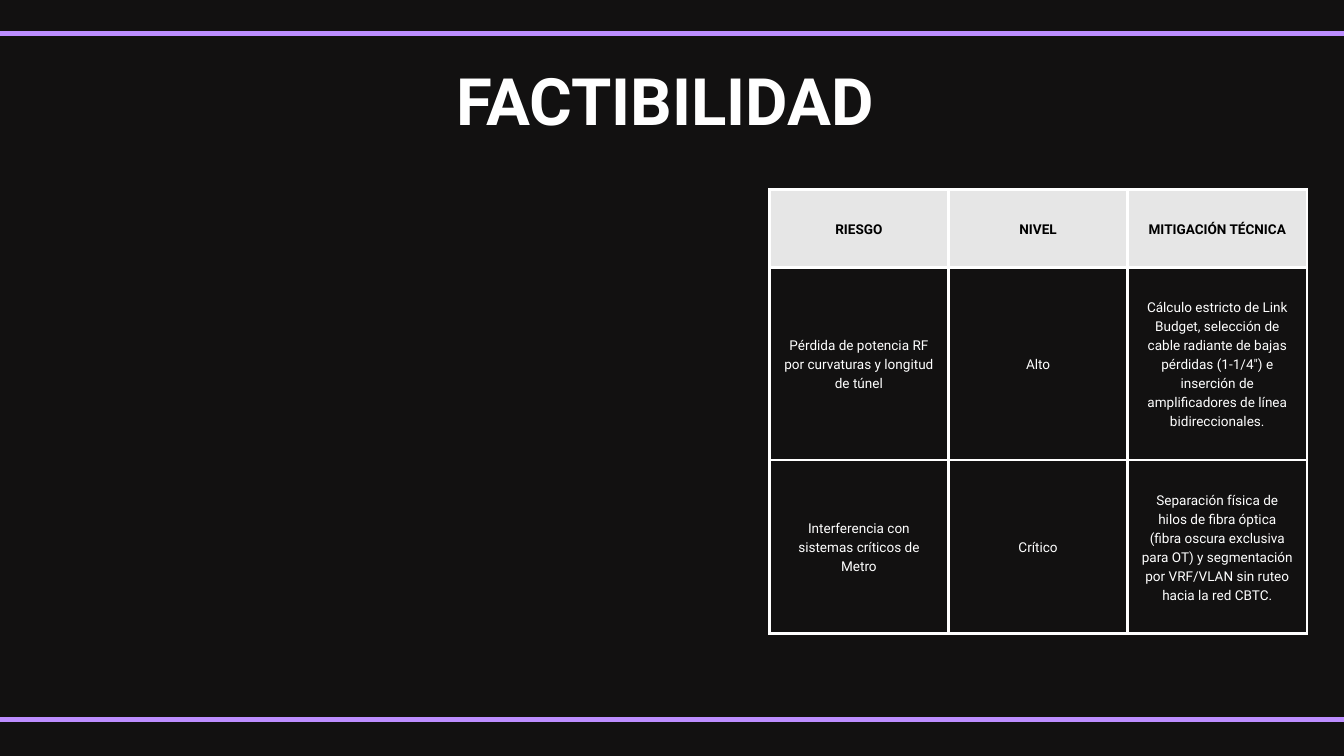
"""Build the feasibility slide with its risk table."""
from typing import NamedTuple

from lxml.etree import SubElement as Sub
from pptx import Presentation
from pptx.dml.color import RGBColor
from pptx.enum.shapes import MSO_CONNECTOR as Link
from pptx.enum.text import MSO_ANCHOR as Anchor, MSO_AUTO_SIZE as Fit, PP_ALIGN as Align
from pptx.oxml import parse_xml
from pptx.oxml.ns import nsdecls, qn
from pptx.util import Emu, Pt

DARK = RGBColor(0x12, 0x11, 0x11)
VIOLET = RGBColor(0xBC, 0x8D, 0xFF)
WHITE = RGBColor(0xFF, 0xFF, 0xFF)
BLACK = RGBColor(0, 0, 0)
GREY = RGBColor(0xE6, 0xE6, 0xE6)
FONT = "Roboto"
SCALE = 9525


class Box(NamedTuple):
    left: int
    top: int
    width: int
    height: int


class Rule(NamedTuple):
    start: int
    end: int
    top: int


class Row(NamedTuple):
    height: int
    risk: str
    level: str
    remedy: str


TITLE = Box(235, 68, 1431, 127)
GRID = Box(1099, 271, 768, 634)
PAD = 20
RULES = [Rule(-807, 2474, 48), Rule(-731, 2551, 1028)]
ROWS = [
    Row(111, "RIESGO", "NIVEL", "MITIGACIÓN TÉCNICA"),
    Row(275, "Pérdida de potencia RF por curvaturas y longitud de túnel", "Alto",
        "Cálculo estricto de Link Budget, selección de cable radiante de bajas "
        "pérdidas (1-1/4\") e inserción de amplificadores de línea bidireccionales."),
    Row(248, "Interferencia con sistemas críticos de Metro", "Crítico",
        "Separación física de hilos de fibra óptica (fibra oscura exclusiva para OT) "
        "y segmentación por VRF/VLAN sin ruteo hacia la red CBTC."),
]


def px(size: int) -> Emu:
    """Turn pixels into EMU."""
    return Emu(size * SCALE)


def write(frame, text: str, *, size: float, lead: float,
          color: RGBColor = WHITE, bold: bool = False) -> None:
    """Put one centred paragraph in a text frame."""
    frame.word_wrap = True
    para = frame.paragraphs[0]
    para.alignment = Align.CENTER
    para.line_spacing = Pt(lead)
    para.space_before = Pt(0)
    run = para.add_run()
    run.text = text
    font = run.font
    font.name, font.size, font.bold = FONT, Pt(size), bold
    font.color.rgb = color


def draw_rule(slide, rule: Rule) -> None:
    """Draw one wide violet line."""
    line = slide.shapes.add_connector(
        Link.STRAIGHT, px(rule.start), px(rule.top), px(rule.end), px(rule.top))
    line.line.color.rgb = VIOLET
    line.line.width = Pt(5.25)
    Sub(line._element.spPr, qn("a:effectLst"))


def edge(cell) -> None:
    """Give a cell white borders on all sides."""
    props = cell._tc.get_or_add_tcPr()
    for spot, side in enumerate(("lnL", "lnR", "lnT", "lnB")):
        props.insert(spot, parse_xml(
            f'<a:{side} {nsdecls("a")} w="{Pt(3)}"><a:solidFill>'
            f'<a:srgbClr val="{WHITE}"/></a:solidFill></a:{side}>'))


def draw_table(slide, rows: list[Row]) -> None:
    """Draw the risk table with its grey head row."""
    table = slide.shapes.add_table(len(rows), 3, *map(px, GRID)).table
    table.first_row = table.horz_banding = False
    for col in table.columns:
        col.width = px(GRID.width // 3)
    for line, row in enumerate(rows):
        table.rows[line].height = px(row.height)
        head = line == 0
        for spot, text in enumerate(row[1:]):
            cell = table.cell(line, spot)
            cell.margin_left = cell.margin_right = px(PAD)
            cell.margin_top = cell.margin_bottom = px(PAD)
            cell.vertical_anchor = Anchor.MIDDLE
            if head:
                cell.fill.solid()
                cell.fill.fore_color.rgb = GREY
            else:
                cell.fill.background()
            edge(cell)
            write(cell.text_frame, text, size=14.5, lead=20.3,
                  color=BLACK if head else WHITE, bold=head)


def draw_title(slide, text: str) -> None:
    """Place and format the title."""
    title = slide.shapes.title
    title.left, title.top, title.width, title.height = map(px, TITLE)
    frame = title.text_frame
    frame.margin_left = frame.margin_right = 0
    frame.margin_top = frame.margin_bottom = 0
    frame.vertical_anchor = Anchor.TOP
    frame.auto_size = Fit.SHAPE_TO_FIT_TEXT
    write(frame, text, size=70, lead=98, bold=True)


def main() -> None:
    """Build and save the slide."""
    deck = Presentation()
    deck.slide_width, deck.slide_height = px(1920), px(1080)
    slide = deck.slides.add_slide(deck.slide_layouts[5])
    slide.background.fill.solid()
    slide.background.fill.fore_color.rgb = DARK
    for rule in RULES:
        draw_rule(slide, rule)
    draw_table(slide, ROWS)
    draw_title(slide, "FACTIBILIDAD")
    deck.save("out.pptx")


if __name__ == "__main__":
    main()
